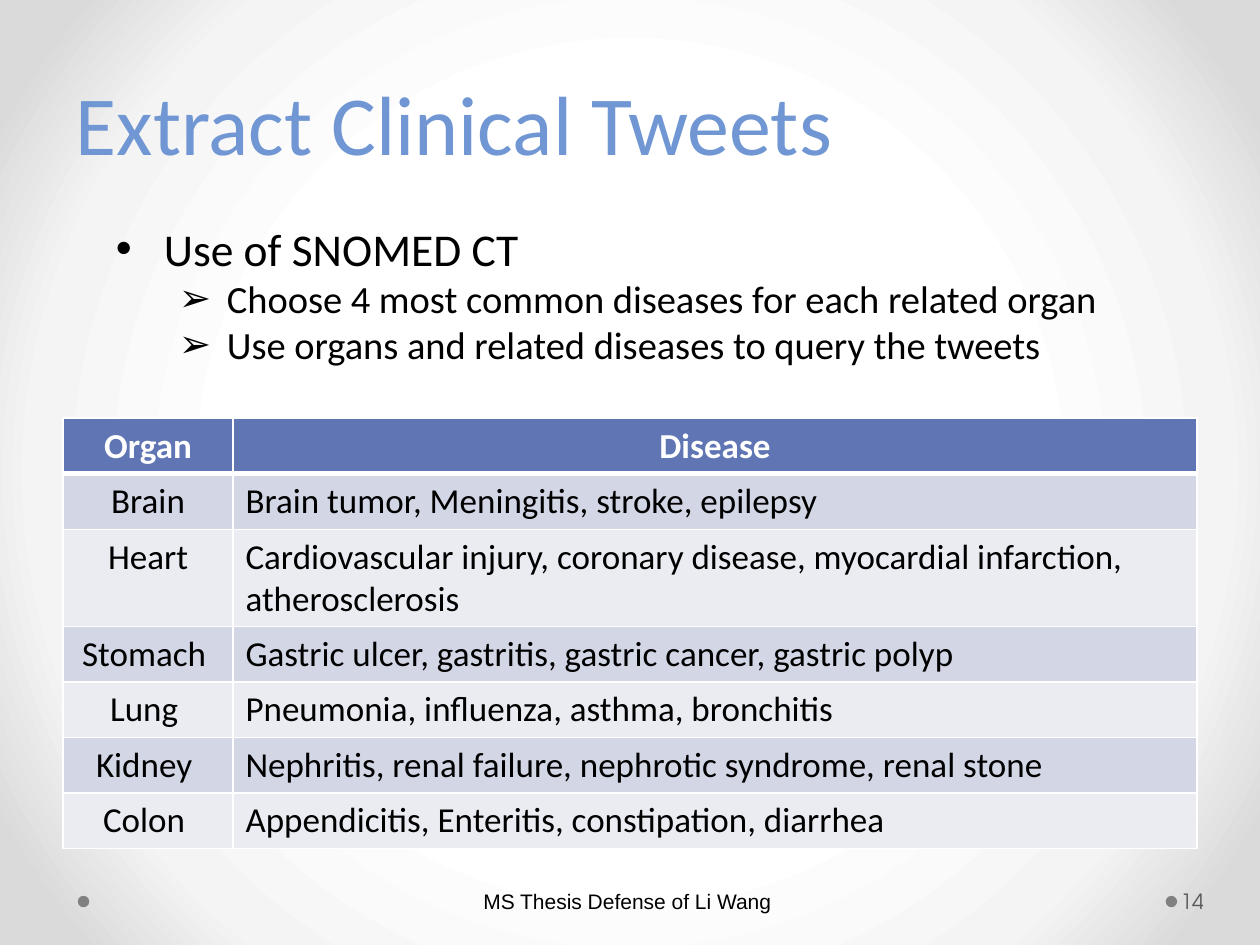
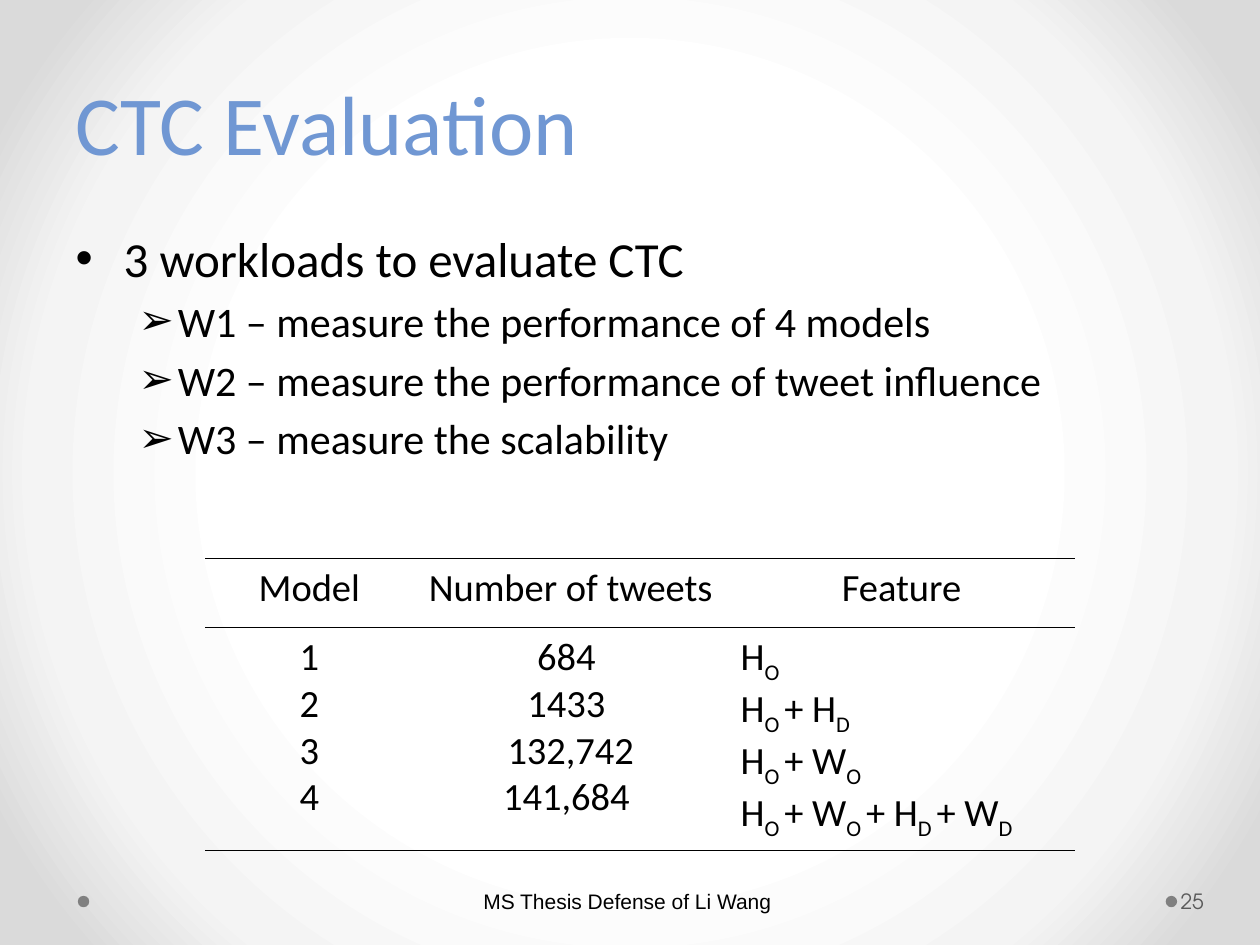
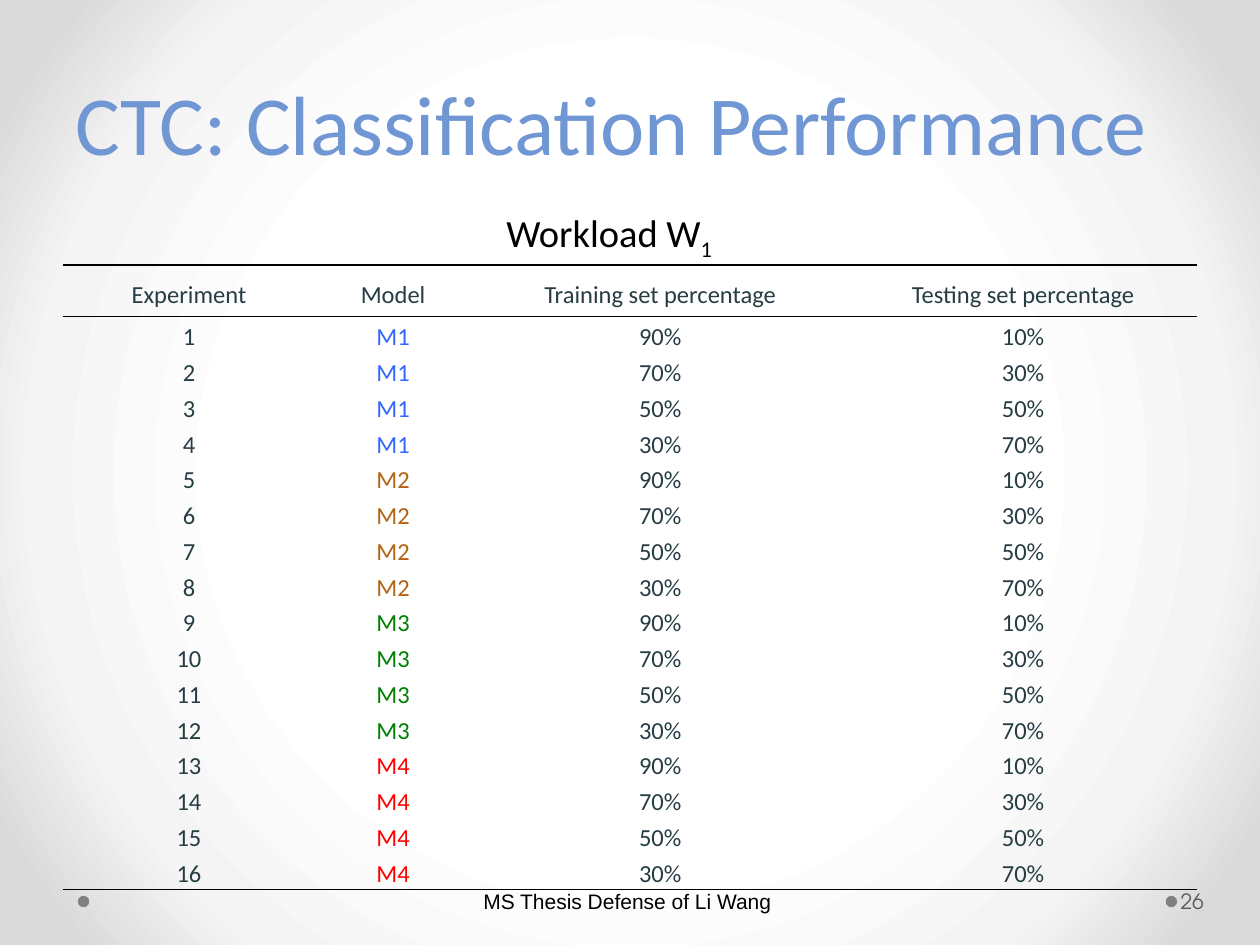
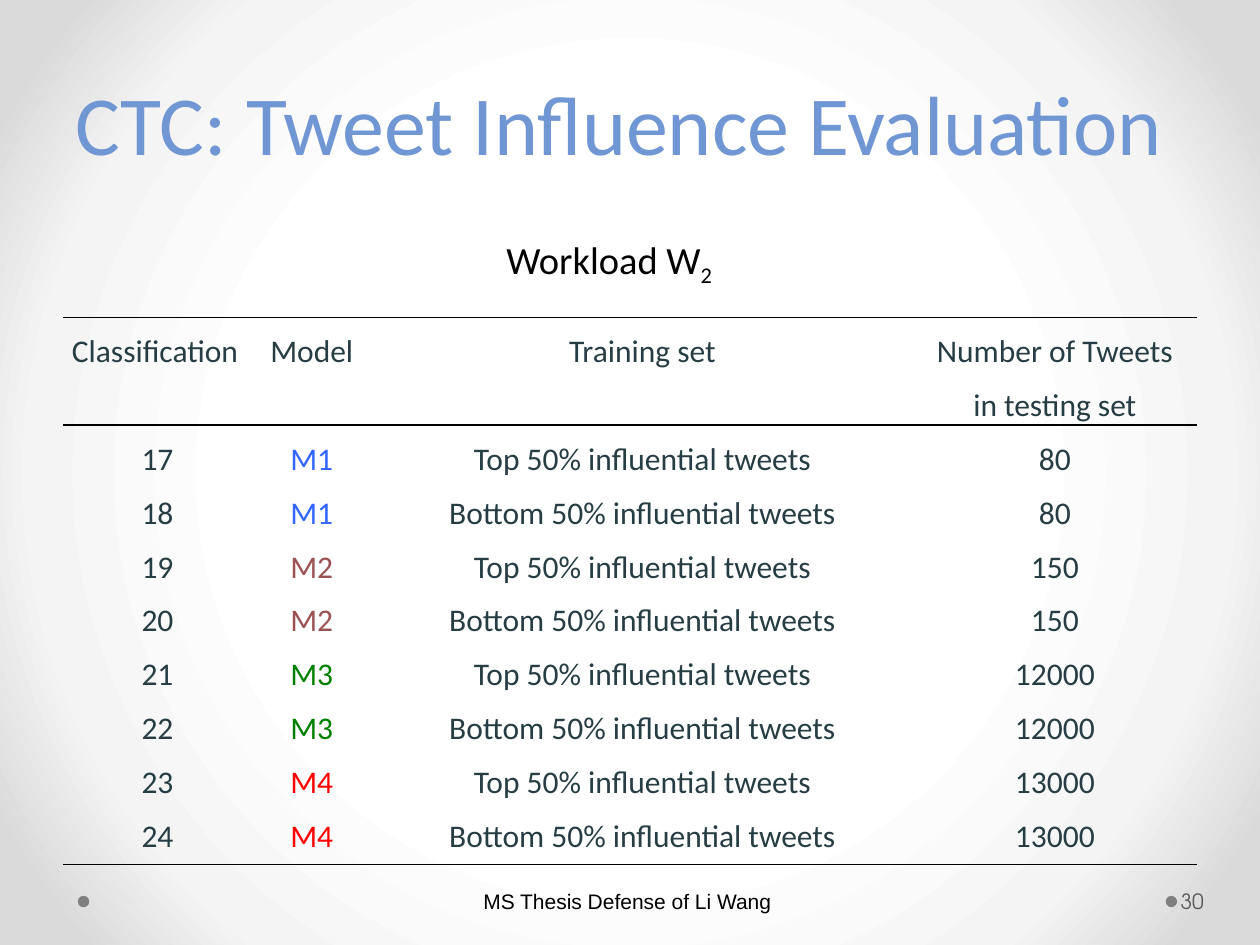
"""Build four thesis-defense slides on clinical tweet classification."""
from dataclasses import dataclass, field
from typing import NamedTuple

from pptx import Presentation
from pptx.dml.color import RGBColor
from pptx.enum.shapes import MSO_SHAPE
from pptx.enum.text import MSO_ANCHOR, MSO_AUTO_SIZE, PP_ALIGN
from pptx.oxml import parse_xml
from pptx.oxml.ns import nsdecls, qn
from pptx.util import Cm, Pt

LEFT, CENTER = PP_ALIGN.LEFT, PP_ALIGN.CENTER
TOP, MIDDLE, BOTTOM = MSO_ANCHOR.TOP, MSO_ANCHOR.MIDDLE, MSO_ANCHOR.BOTTOM
NO_FIT = MSO_AUTO_SIZE.NONE
OVAL = MSO_SHAPE.OVAL

BLACK, WHITE, INK = "000000", "FFFFFF", "263D43"
BLUE, GRAY, SLATE = "7097D3", "808080", "595959"
HEAD, BANDS = "6076B4", ("EAECF2", "D2D6E5")
GLOW = ((50, "FFFFFF"), (76, "F4F4F4"), (92, "DADADA"))
MODELS = {"M1": "3366FF", "M2": "B26314", "M3": "008000", "M4": "FF0000"}
PLAIN = "{2D5ABB26-0587-4C30-8999-92F81FD0307C}"
FOOTER = "MS Thesis Defense of Li Wang"


class Box(NamedTuple):
    x: float
    y: float
    w: float
    h: float


class Style(NamedTuple):
    size: float
    color: str = BLACK
    font: str = "Calibri"
    bold: bool = False


class Item(NamedTuple):
    text: str
    level: int = 0


@dataclass
class Bullets:
    box: Box
    items: list[Item]
    sizes: tuple[float, float]
    indent: tuple[float, float]
    hang: tuple[float, float]
    gap: float = 0


@dataclass
class Grid:
    x: float
    y: float
    cols: list[float]
    rows: list[float]
    cells: list[list[str]]
    style: Style
    inset: tuple[float, float] = (0.25, 0.13)
    spacing: tuple[float, float] = (1, 1)
    left: set[tuple[int, int]] = field(default_factory=set)
    tints: dict[str, str] = field(default_factory=dict)
    banded: bool = False


TITLE = Box(1.27, 0.76, 22.86, 2.84)
DOTS = [Box(x, 18.06, 0.23, 0.23) for x in (23.5, 1.57)]
FOOT = Box(8.76, 17.65, 7.9, 1.02)
PAGE = Box(23.72, 17.65, 1.55, 1.02)


def rgb(code: str) -> RGBColor:
    """Turn a hex string into a colour."""
    return RGBColor.from_string(code)


def place(shape, box: Box) -> None:
    """Move and size a shape."""
    shape.left, shape.top, shape.width, shape.height = map(Cm, box)


def inset(target, left: float, top: float, right: float, low: float) -> None:
    """Set the margins of a text frame or cell."""
    target.margin_left, target.margin_right = Cm(left), Cm(right)
    target.margin_top, target.margin_bottom = Cm(top), Cm(low)


def dress(run, style: Style) -> None:
    """Apply a style to a run."""
    run.font.name, run.font.size = style.font, Pt(style.size)
    run.font.bold = style.bold
    run.font.color.rgb = rgb(style.color)


def write(para, text: str, style: Style) -> None:
    """Write text in which every second part between bars is a subscript."""
    first, *rest = text.split("|")
    para.text = first
    for piece in rest:
        para.add_run().text = piece
    for i, run in enumerate(para.runs):
        dress(run, style)
        if i % 2:
            run._r.get_or_add_rPr().set("baseline", "-25000")


def label(slide, box: Box, text: str, style: Style, align=LEFT,
          anchor=TOP, pad=(0.25, 0.13, 0.25, 0.13)) -> None:
    """Add a one-line text box."""
    frame = slide.shapes.add_textbox(*map(Cm, box)).text_frame
    frame.word_wrap, frame.vertical_anchor = True, anchor
    inset(frame, *pad)
    write(frame.paragraphs[0], text, style)
    frame.paragraphs[0].alignment = align


def glow(master) -> None:
    """Give the master a radial background."""
    master.background.fill.solid()
    stops = "".join(f'<a:gs pos="{pos * 1000}"><a:srgbClr val="{code}"/></a:gs>'
                    for pos, code in GLOW)
    back = next(master.element.iter(qn("p:bgPr")))
    back.replace(back[0], parse_xml(
        f'<a:gradFill {nsdecls("a")} rotWithShape="1"><a:gsLst>{stops}</a:gsLst>'
        '<a:path path="circle"><a:fillToRect l="50000" t="50000" r="50000" '
        'b="50000"/></a:path></a:gradFill>'))


def start(prs, layout: int, title: str, page: int):
    """Add a slide with its title, dots, footer and page number."""
    slide = prs.slides.add_slide(prs.slide_layouts[layout])
    for box in DOTS:
        dot = slide.shapes.add_shape(OVAL, *map(Cm, box))
        dot.shadow.inherit = False
        dot.fill.solid()
        dot.fill.fore_color.rgb = rgb(GRAY)
        dot.line.fill.background()
    head = slide.shapes.title
    place(head, TITLE)
    frame = head.text_frame
    frame.auto_size, frame.vertical_anchor = NO_FIT, BOTTOM
    para = frame.paragraphs[0]
    write(para, title, Style(48, BLUE))
    para.alignment, para.line_spacing = LEFT, Pt(58)
    label(slide, FOOT, FOOTER, Style(12, font="Arial"), CENTER, MIDDLE,
          (0.13, 0.13, 0.25, 0.13))
    label(slide, PAGE, str(page), Style(12, SLATE, "TeX Gyre Adventor"), LEFT,
          MIDDLE, (0.08, 0.13, 0.13, 0.13))
    return slide


def fill_list(slide, spec: Bullets) -> None:
    """Fill the body placeholder with a bulleted list."""
    body = slide.placeholders[1]
    place(body, spec.box)
    frame = body.text_frame
    frame.auto_size = NO_FIT
    frame.text = "\n".join(item.text for item in spec.items)
    for i, (para, item) in enumerate(zip(frame.paragraphs, spec.items)):
        para.level = item.level
        props = para._p.get_or_add_pPr()
        props.set("marL", str(Cm(spec.indent[item.level])))
        props.set("indent", str(-Cm(spec.hang[item.level])))
        props.append(parse_xml(f'<a:buFont {nsdecls("a")} typeface="Arial"/>'))
        props.append(parse_xml(f'<a:buChar {nsdecls("a")} char="{"•➢"[item.level]}"/>'))
        para.space_before = Pt(spec.gap if i else 0)
        dress(para.runs[0], Style(spec.sizes[item.level]))


def edge(cell, sides: dict[str, float], color: str) -> None:
    """Draw the given sides of a cell, with widths in points."""
    props = cell._tc.get_or_add_tcPr()
    for i, side in enumerate(s for s in "LRTB" if s in sides):
        props.insert(i, parse_xml(
            f'<a:ln{side} {nsdecls("a")} w="{Pt(sides[side])}"><a:solidFill>'
            f'<a:srgbClr val="{color}"/></a:solidFill></a:ln{side}>'))


def fill_cell(cell, spec: Grid, row: int, col: int) -> None:
    """Write and format one table cell."""
    head = row == 0
    style = spec.style
    if spec.banded:
        cell.fill.solid()
        cell.fill.fore_color.rgb = rgb(HEAD if head else BANDS[row % 2])
        edge(cell, {"L": 1, "R": 1, "T": 3 if row == 1 else 1,
                    "B": 3 if head else 1}, WHITE)
        if head:
            style = style._replace(color=WHITE, bold=True)
    else:
        cell.fill.background()
        edge(cell, {"T": 1, "B": 1}, BLACK)
    inset(cell, *spec.inset, *spec.inset)
    text = spec.cells[row][col]
    cell.text_frame.text = text
    for para, line in zip(cell.text_frame.paragraphs, text.split("\n")):
        write(para, line, style._replace(color=spec.tints.get(line, style.color)))
        para.alignment = LEFT if (row, col) in spec.left else CENTER
        para.line_spacing = spec.spacing[0 if head else 1]


def add_grid(slide, spec: Grid) -> None:
    """Add a table."""
    frame = slide.shapes.add_table(
        len(spec.rows), len(spec.cols), Cm(spec.x), Cm(spec.y),
        Cm(sum(spec.cols)), Cm(sum(spec.rows)))
    table = frame.table
    next(frame.element.iter(qn("a:tableStyleId"))).text = PLAIN
    table.horz_banding = False
    for col, width in zip(table.columns, spec.cols):
        col.width = Cm(width)
    for r, height in enumerate(spec.rows):
        table.rows[r].height = Cm(height)
        for c in range(len(spec.cols)):
            fill_cell(table.cell(r, c), spec, r, c)


def stack(values) -> str:
    """Join values into the lines of one cell."""
    return "\n".join(map(str, values))


def organs(prs) -> None:
    """Slide on organs and diseases."""
    slide = start(prs, 1, "Extract Clinical Tweets", 14)
    cells = [
        ["Organ", "Disease"],
        ["Brain", "Brain tumor, Meningitis, stroke, epilepsy"],
        ["Heart", "Cardiovascular injury, coronary disease, "
                  "myocardial infarction, atherosclerosis"],
        ["Stomach ", "Gastric ulcer, gastritis, gastric cancer, gastric polyp"],
        ["Lung ", "Pneumonia, influenza, asthma, bronchitis"],
        ["Kidney ", "Nephritis, renal failure, nephrotic syndrome, renal stone"],
        ["Colon ", "Appendicitis, Enteritis, constipation, diarrhea"],
    ]
    add_grid(slide, Grid(
        1.27, 8.43, [3.43, 19.43], [1.12] * len(cells), cells, Style(20),
        left={(r, 1) for r in range(1, len(cells))}, banded=True))
    fill_list(slide, Bullets(
        Box(2.08, 4.32, 21.06, 3.25),
        [Item("Use of SNOMED CT"),
         Item("Choose 4 most common diseases for each related organ", 1),
         Item("Use organs and related diseases to query the tweets", 1)],
        (26, 22), (0.97, 2.24), (0.97, 0.97)))


def loads(prs) -> None:
    """Slide on workloads and models."""
    slide = start(prs, 1, "CTC Evaluation", 25)
    fill_list(slide, Bullets(
        Box(1.27, 4.47, 22.86, 6.22),
        [Item("3 workloads to evaluate CTC"),
         Item("W1 – measure the performance of 4 models", 1),
         Item("W2 – measure the performance of tweet influence", 1),
         Item("W3 – measure the scalability", 1)],
        (28, 24), (0.97, 2.06), (0.97, 0.79), 4.8))
    cells = [
        ["Model", "Number of tweets", "Feature"],
        [stack(range(1, 5)),
         stack(["684 ", "1433 ", "132,742", "141,684 "]),
         stack(["H|O", "H|O |+ H|D", "H|O |+ W|O", "H|O |+ W|O |+ H|D |+ W|D"])],
    ]
    add_grid(slide, Grid(4.14, 11.26, [4.19, 6.35, 6.99], [1.39, 4.45], cells,
                         Style(22), left={(1, 2)}))


def scores(prs) -> None:
    """Slide on the first workload."""
    slide = start(prs, 5, "CTC: Classification Performance", 26)
    shares = [90, 70, 50, 30] * len(MODELS)
    cells = [
        ["Experiment", "Model", "Training set percentage",
         "Testing set percentage"],
        [stack(range(1, len(shares) + 1)),
         stack(m for m in MODELS for _ in range(4)),
         stack(f"{s}%" for s in shares),
         stack(f"{100 - s}%" for s in shares)],
    ]
    add_grid(slide, Grid(
        1.27, 5.34, [5.08, 3.15, 7.62, 7.01], [1.04, 11.55], cells,
        Style(14, INK), (0.18, 0), (1.5, 1.2), tints=MODELS))
    label(slide, Box(9.96, 4.09, 4.98, 1.19), "Workload W|1", Style(22))


def sway(prs) -> None:
    """Slide on the second workload."""
    slide = start(prs, 5, "CTC: Tweet Influence Evaluation", 30)
    cells = [
        ["Classification", "Model", "Training set",
         "Number of Tweets in testing set"],
        [stack(range(17, 25)),
         stack(m for m in MODELS for _ in range(2)),
         stack(f"{end} 50% influential tweets"
               for _ in MODELS for end in ("Top", "Bottom")),
         stack(n for n in (80, 150, 12000, 13000) for _ in range(2))],
    ]
    add_grid(slide, Grid(
        1.27, 6.4, [3.81, 2.41, 10.92, 5.71], [2.17, 8.86], cells,
        Style(18, INK), (0.18, 0), (1.4, 1.4), {(0, 0)},
        MODELS | {"M2": "9C5252"}))
    label(slide, Box(9.96, 4.62, 4.98, 1.19), "Workload W|2", Style(22))


def main() -> None:
    """Build and save the deck."""
    prs = Presentation()
    prs.slide_width, prs.slide_height = Cm(25.4), Cm(19.05)
    glow(prs.slide_master)
    for build in (organs, loads, scores, sway):
        build(prs)
    prs.save("out.pptx")


if __name__ == "__main__":
    main()
